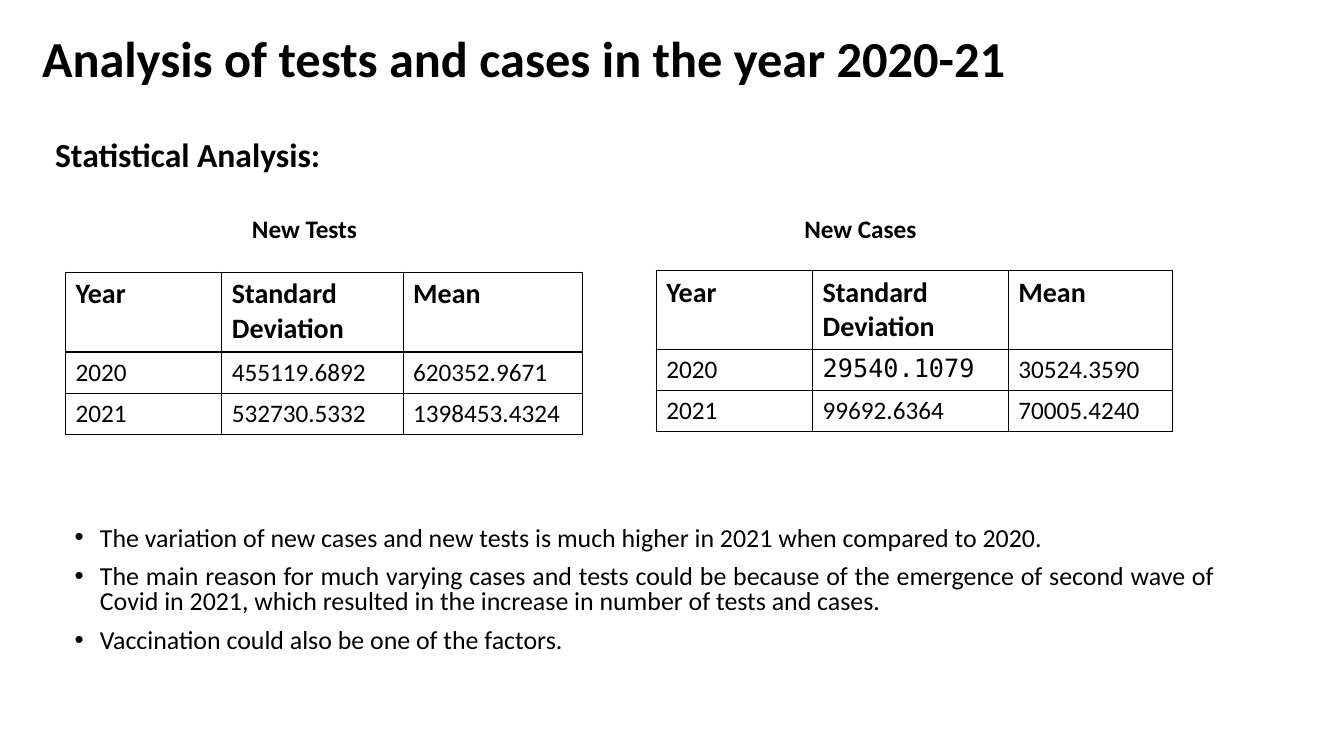
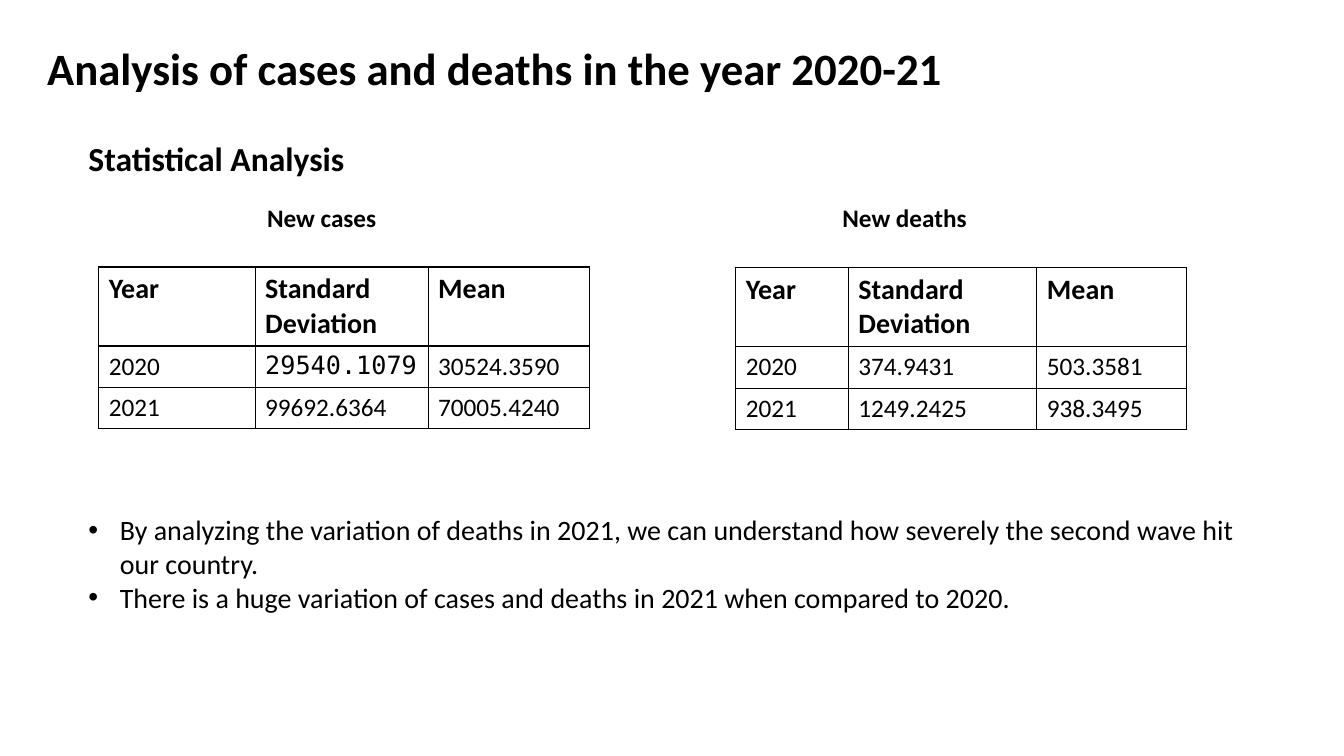
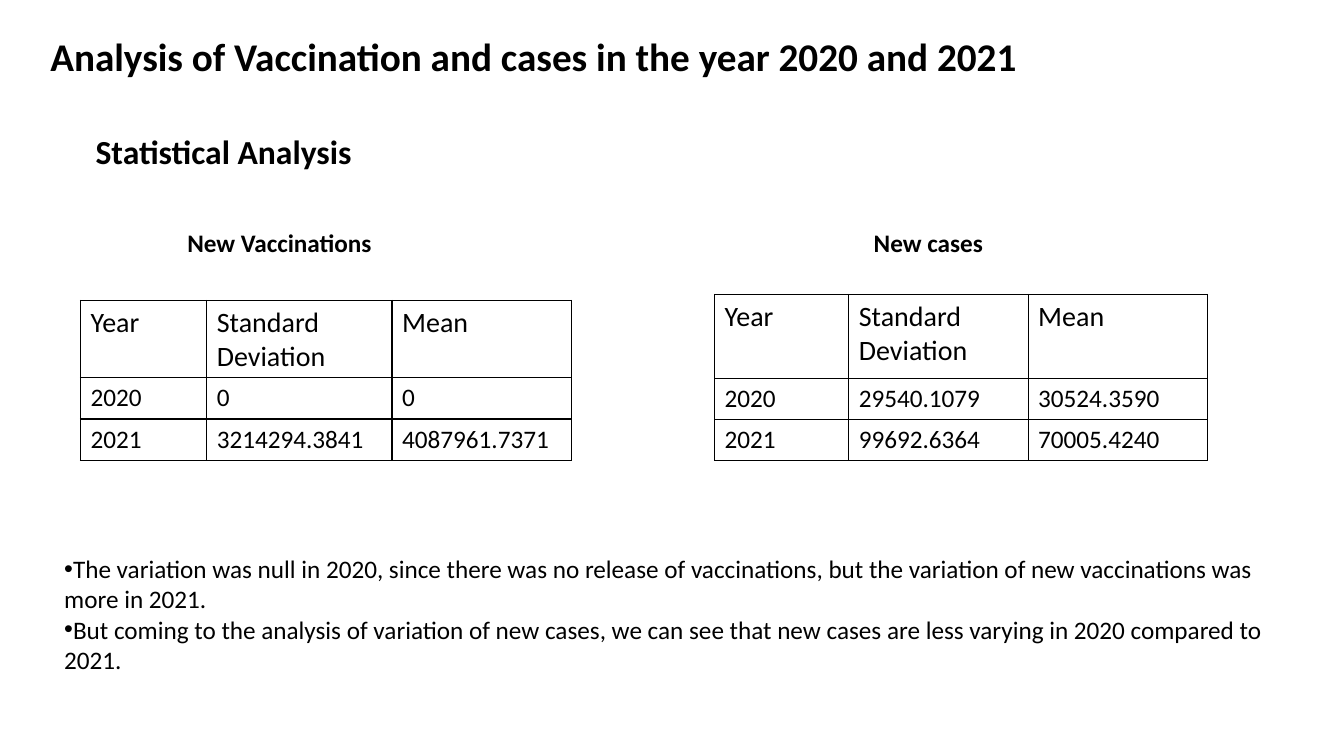
from lxml import etree
from pptx import Presentation
from pptx.dml.color import RGBColor
from pptx.enum import text as t
from pptx.oxml import ns
from pptx.util import Cm, Pt

INK, PAPER = "000000", "FFFFFF"
BODY_FONT, MONO_FONT = "Calibri", "DejaVu Sans Mono"
HEADER = ("Year", "Standard Deviation", "Mean")
ROW_HEIGHT = 1.04
CASES = (("2020", "29540.1079", "30524.3590"),
         ("2021", "99692.6364", "70005.4240"))
TOP, MIDDLE = t.MSO_ANCHOR.TOP, t.MSO_ANCHOR.MIDDLE

# Lengths are in centimetres.
SLIDES = [
    dict(
        title="Analysis of tests and cases in the year 2020-21",
        title_box=(0.81, 0.74, 31.19, 1.85), title_size=36, title_anchor=TOP,
        heading="Statistical Analysis:", heading_at=(1.14, 3.25),
        caption_top=5.26, header_bold=True, mono="29540.1079",
        tables=[
            dict(caption="New Tests", caption_left=6.1, at=(1.65, 6.86),
                 cols=(3.94, 4.57, 4.52), header_height=2.01,
                 rows=(("2020", "455119.6892", "620352.9671"),
                       ("2021", "532730.5332", "1398453.4324"))),
            dict(caption="New Cases", caption_left=20.02, at=(16.54, 6.81),
                 cols=(3.94, 4.93, 4.14), header_height=1.99, rows=CASES),
        ],
        notes=[
            "The variation of new cases and new tests is much higher in 2021 when compared to 2020.",
            "The main reason for much varying cases and tests could be because of the emergence of "
            "second wave of Covid in 2021, which resulted in the increase in number of tests and cases.",
            "Vaccination could also be one of the factors.",
        ],
        notes_box=(1.63, 13.16, 29.21, 3.56), notes_size=18.5, notes_indent=0.64,
        notes_style=dict(alignment=t.PP_ALIGN.JUSTIFY, line_spacing=0.8, space_before=Pt(10)),
    ),
    dict(
        title="Analysis of cases and deaths in the year 2020-21",
        title_box=(0.94, 0.23, 29.21, 3.12), title_size=32, title_anchor=MIDDLE,
        heading="Statistical Analysis", heading_at=(1.98, 3.35),
        caption_top=4.98, header_bold=True, mono="29540.1079",
        tables=[
            dict(caption="New cases", caption_left=6.48, at=(2.49, 6.73),
                 cols=(3.94, 4.36, 4.06), header_height=1.99, rows=CASES),
            dict(caption="New deaths", caption_left=20.98, at=(18.54, 6.75),
                 cols=(2.84, 4.75, 3.78), header_height=1.99,
                 rows=(("2020", "374.9431", "503.3581"),
                       ("2021", "1249.2425", "938.3495"))),
        ],
        notes=[
            "By analyzing the variation of deaths in 2021, we can understand how severely "
            "the second wave hit our country.",
            "There is a huge variation of cases and deaths in 2021 when compared to 2020.",
        ],
        notes_box=(1.98, 12.8, 29.51, 2.82), notes_size=20, notes_indent=0.79, notes_style={},
    ),
    dict(
        title="Analysis of Vaccination and cases in the year 2020 and 2021",
        title_box=(1.02, 0.56, 25.93, 1.85), title_size=28, title_anchor=MIDDLE,
        heading="Statistical Analysis", heading_at=(2.16, 3.18),
        caption_top=5.61, header_bold=False, mono=None,
        tables=[
            dict(caption="New Vaccinations", caption_left=4.47, at=(2.03, 7.57),
                 cols=(3.18, 4.67, 4.52), header_height=1.95,
                 rows=(("2020", "0", "0"), ("2021", "3214294.3841", "4087961.7371"))),
            dict(caption="New cases", caption_left=21.77, at=(18.01, 7.42),
                 cols=(3.38, 4.52, 4.52), header_height=2.11, rows=CASES),
        ],
        notes=[
            "The variation was null in 2020, since there was no release of vaccinations, but the "
            "variation of new vaccinations was more in 2021.",
            "But coming to the analysis of variation of new cases, we can see that new cases are "
            "less varying in 2020 compared to 2021.",
        ],
        notes_box=(1.37, 13.82, 31.12, 3.33), notes_size=18, notes_indent=0, notes_style={},
    ),
]


def paint(color_format, color):
    color_format.rgb = RGBColor.from_string(color)


def write(frame, lines, size, bold=False, font=BODY_FONT):
    """Fill a text frame with one paragraph per line and return the paragraphs."""
    frame.word_wrap = True
    for number, line in enumerate(lines):
        paragraph = frame.add_paragraph() if number else frame.paragraphs[0]
        run = paragraph.add_run()
        run.text = line
        run.font.name, run.font.size, run.font.bold = font, Pt(size), bold
        paint(run.font.color, INK)
    return frame.paragraphs


deck = Presentation()
deck.slide_width, deck.slide_height = Cm(33.87), Cm(19.05)

for content in SLIDES:
    slide = deck.slides.add_slide(deck.slide_layouts[6])

    title = slide.shapes.add_textbox(*map(Cm, content["title_box"])).text_frame
    title.vertical_anchor = content["title_anchor"]
    write(title, [content["title"]], content["title_size"], bold=True)[0].line_spacing = 0.9

    heading = slide.shapes.add_textbox(*map(Cm, content["heading_at"]), Cm(7.62), Cm(1.27))
    write(heading.text_frame, [content["heading"]], 24, bold=True)

    for stats in content["tables"]:
        caption = slide.shapes.add_textbox(
            Cm(stats["caption_left"]), Cm(content["caption_top"]), Cm(6), Cm(1.03))
        write(caption.text_frame, [stats["caption"]], 18, bold=True)

        rows = (HEADER, *stats["rows"])
        heights = [stats["header_height"]] + [ROW_HEIGHT] * len(stats["rows"])
        grid = slide.shapes.add_table(
            len(rows), len(HEADER), *map(Cm, stats["at"]),
            Cm(sum(stats["cols"])), Cm(sum(heights))).table
        grid.first_row = grid.horz_banding = False
        for column, width in zip(grid.columns, stats["cols"]):
            column.width = Cm(width)
        for r, values in enumerate(rows):
            grid.rows[r].height = Cm(heights[r])
            for c, value in enumerate(values):
                cell = grid.cell(r, c)
                write(cell.text_frame, [value], 18 if r else 20,
                      bold=r == 0 and content["header_bold"],
                      font=MONO_FONT if value == content["mono"] else BODY_FONT)
                # Borders must come before the fill in the cell properties.
                properties = cell._tc.get_or_add_tcPr()
                for side in ("lnL", "lnR", "lnT", "lnB"):
                    border = etree.SubElement(properties, ns.qn("a:" + side), w=str(Pt(1)))
                    ink = etree.SubElement(border, ns.qn("a:solidFill"))
                    etree.SubElement(ink, ns.qn("a:srgbClr"), val=INK)
                cell.fill.solid()
                paint(cell.fill.fore_color, PAPER)

    notes = slide.shapes.add_textbox(*map(Cm, content["notes_box"])).text_frame
    indent = Cm(content["notes_indent"])
    for paragraph in write(notes, content["notes"], content["notes_size"]):
        for attribute, value in content["notes_style"].items():
            setattr(paragraph, attribute, value)
        properties = paragraph._p.get_or_add_pPr()
        properties.set("marL", str(indent))
        properties.set("indent", str(-indent))
        etree.SubElement(properties, ns.qn("a:buFont"), typeface="Arial")
        etree.SubElement(properties, ns.qn("a:buChar"), char="•")

deck.save("out.pptx")
